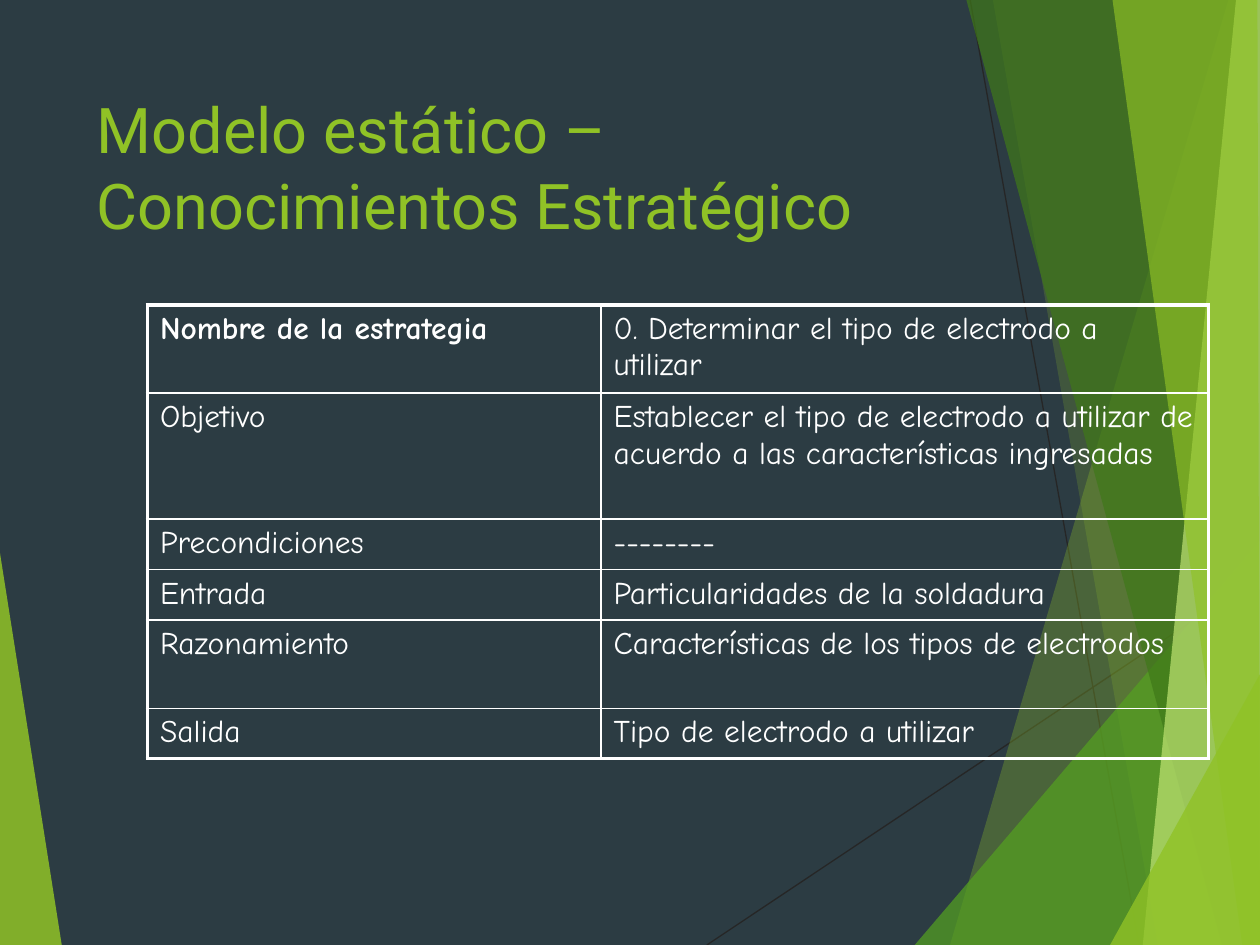
import pptx
import pptx.dml.color
import pptx.enum.shapes
import pptx.enum.text
import pptx.oxml
import pptx.oxml.ns
import pptx.util

RGBColor = pptx.dml.color.RGBColor
qn = pptx.oxml.ns.qn

SLATE = RGBColor(0x2C, 0x3C, 0x43)
CHARCOAL = RGBColor(0x26, 0x26, 0x26)
WHITE = RGBColor(0xFF, 0xFF, 0xFF)
LIME = RGBColor(0x90, 0xC2, 0x26)
GREEN = RGBColor(0x54, 0xA0, 0x21)
FOREST = RGBColor(0x3F, 0x78, 0x19)
PALE_LIME = RGBColor(0xC0, 0xE4, 0x74)

PX = 9144  # EMU; 100 px to the inch
WIDTH, HEIGHT = 1000, 750
THIN, THICK = 1, 2.25

# Corner points, colour and opacity in percent, from back to front
FACETS = [
    ([(0, 439), (49, HEIGHT), (0, HEIGHT)], LIME, 85),
    ([(975, 0), (754, HEIGHT), (WIDTH, HEIGHT), (WIDTH, 0)], LIME, 30),
    ([(788, 0), (919, HEIGHT), (WIDTH, HEIGHT), (WIDTH, 0)], LIME, 20),
    ([(726, HEIGHT), (WIDTH, 429), (WIDTH, HEIGHT)], GREEN, 72),
    ([(767, 0), (970, HEIGHT), (WIDTH, HEIGHT), (WIDTH, 0)], FOREST, 70),
    ([(981, 0), (907, HEIGHT), (WIDTH, HEIGHT), (WIDTH, 0)], PALE_LIME, 70),
    ([(883, 0), (986, HEIGHT), (WIDTH, HEIGHT), (998, 0)], LIME, 65),
    ([(881, HEIGHT), (WIDTH, 535), (WIDTH, HEIGHT)], LIME, 80),
]

STRATEGY = [
    ("Nombre de la estrategia", "0. Determinar el tipo de electrodo a utilizar"),
    ("Objetivo", "Establecer el tipo de electrodo a utilizar de acuerdo "
                 "a las características ingresadas"),
    ("Precondiciones", "--------"),
    ("Entrada", "Particularidades de la soldadura"),
    ("Razonamiento", "Características de los tipos de electrodos"),
    ("Salida", "Tipo de electrodo a utilizar"),
]
COLUMN_WIDTHS = [360, 482]
ROW_HEIGHTS = [70, 100, 40, 40, 70, 40]


def write_text(text_frame, text, *, font, size, color, bold=False):
    paragraph = text_frame.paragraphs[0]
    run = paragraph.add_run()
    run.text = text
    run.font.name = font
    run.font.size = pptx.util.Pt(size)
    run.font.color.rgb = color
    run.font.bold = bold


def fill_solid(fill, element, color, opacity):
    """Fill with a colour; element is the XML parent that holds the fill."""
    fill.solid()
    fill.fore_color.rgb = color
    color_element = element.find(qn("a:solidFill")).find(qn("a:srgbClr"))
    alpha = color_element.makeelement(qn("a:alpha"), {"val": str(opacity * 1000)})
    color_element.append(alpha)


class SlideBuilder:
    title_font = "Roboto"
    body_font = "Comic Neue"

    def __init__(self, presentation):
        self.slide = presentation.slides.add_slide(presentation.slide_layouts[6])
        self.shapes = self.slide.shapes
        background = self.slide.background.fill
        background.solid()
        background.fore_color.rgb = SLATE

    def line(self, x1, y1, x2, y2):
        connector = self.shapes.add_connector(
            pptx.enum.shapes.MSO_CONNECTOR.STRAIGHT,
            x1 * PX, y1 * PX, x2 * PX, y2 * PX)
        connector.line.color.rgb = CHARCOAL
        connector.line.width = pptx.util.Pt(0.75)
        properties = connector._element.spPr
        properties.append(properties.makeelement(qn("a:effectLst"), {}))

    def facet(self, points, color, opacity):
        builder = self.shapes.build_freeform(*points[0], scale=PX)
        builder.add_line_segments(points[1:], close=True)
        shape = builder.convert_to_shape()
        shape.shadow.inherit = False
        shape.line.fill.background()
        fill_solid(shape.fill, shape._element.spPr, color, opacity)

    def title(self, text, left, top, width, height):
        box = self.shapes.add_textbox(left * PX, top * PX, width * PX, height * PX)
        box.text_frame.word_wrap = True
        box.text_frame.vertical_anchor = pptx.enum.text.MSO_ANCHOR.TOP
        write_text(box.text_frame, text, font=self.title_font, size=36, color=LIME)

    def borders(self, cell, **widths):
        """Draw cell edges; widths maps L, R, T and B to points."""
        properties = cell._tc.get_or_add_tcPr()
        for side, width in widths.items():
            properties.append(pptx.oxml.parse_xml(
                f'<a:ln{side} {pptx.oxml.ns.nsdecls("a")} w="{pptx.util.Pt(width)}">'
                f'<a:solidFill><a:srgbClr val="{WHITE}"/></a:solidFill></a:ln{side}>'))

    def table(self, rows, left, top, column_widths, row_heights):
        last_row, last_column = len(row_heights) - 1, len(column_widths) - 1
        table = self.shapes.add_table(
            len(row_heights), len(column_widths), left * PX, top * PX,
            sum(column_widths) * PX, sum(row_heights) * PX).table
        table.first_row = table.horz_banding = False
        for column, width in zip(table.columns, column_widths):
            column.width = width * PX
        for row, height in zip(table.rows, row_heights):
            row.height = height * PX
        for r, texts in enumerate(rows):
            for c, text in enumerate(texts):
                cell = table.cell(r, c)
                write_text(cell.text_frame, text, font=self.body_font, size=18,
                           color=WHITE, bold=(r == c == 0))
                self.borders(cell,
                             L=THICK if c == 0 else THIN,
                             R=THICK if c == last_column else THIN,
                             T=THICK if r == 0 else THIN,
                             B=THICK if r == last_row else THIN)
                if c == 0:
                    fill_solid(cell.fill, cell._tc.tcPr, SLATE, 50)
                else:
                    cell.fill.background()


def main():
    presentation = pptx.Presentation()
    presentation.slide_width = WIDTH * PX
    presentation.slide_height = HEIGHT * PX
    builder = SlideBuilder(presentation)
    builder.line(561, HEIGHT, WIDTH, 457)
    builder.line(770, 0, 904, HEIGHT)
    for points, color, opacity in FACETS:
        builder.facet(points, color, opacity)
    builder.title("Modelo estático – Conocimientos Estratégico", 67, 67, 694, 144)
    builder.table(STRATEGY, 117, 242, COLUMN_WIDTHS, ROW_HEIGHTS)
    presentation.save("out.pptx")


if __name__ == "__main__":
    main()
